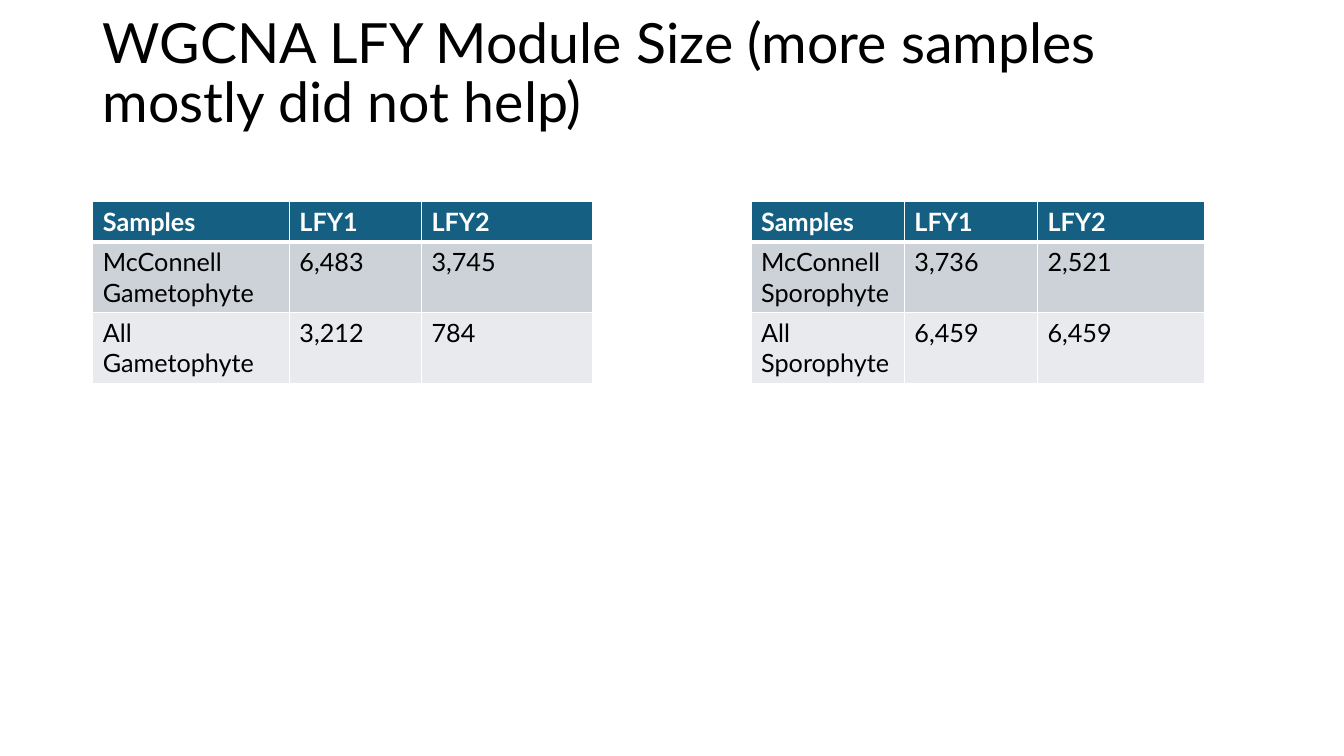
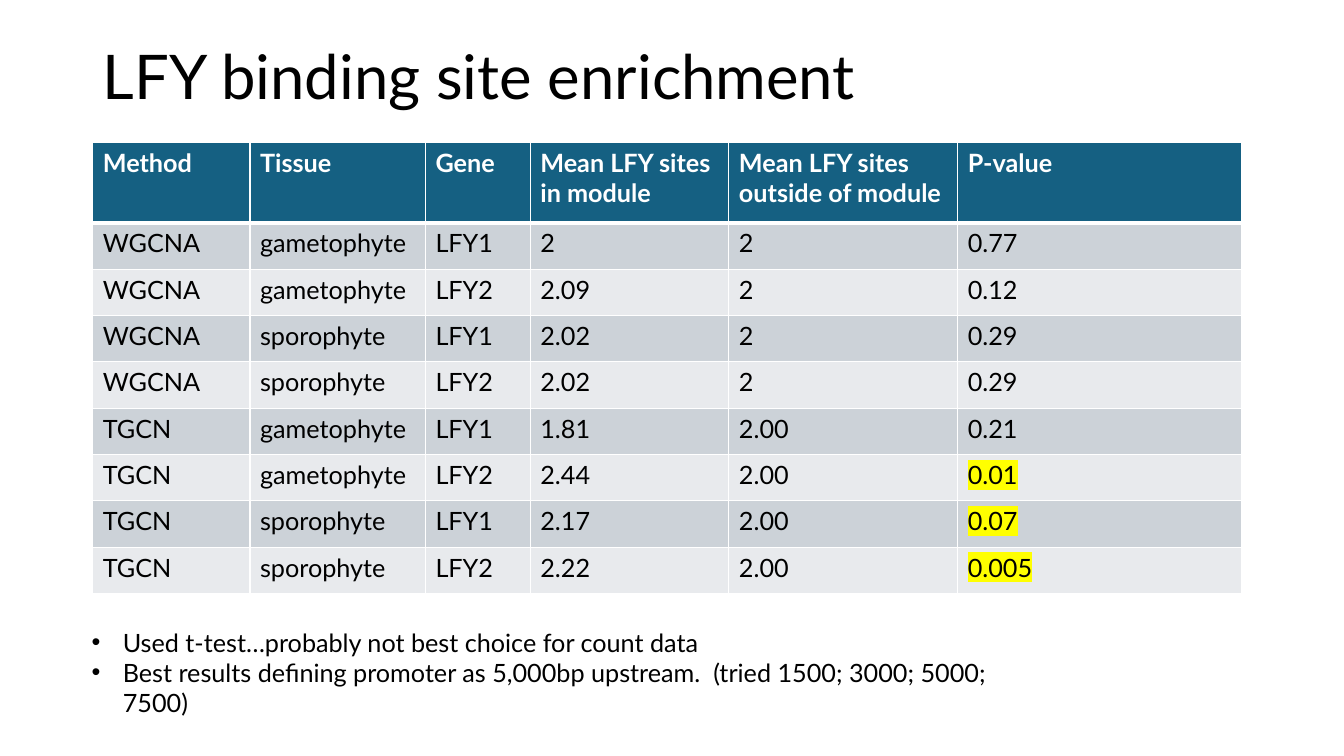
import lxml.etree
import pptx
import pptx.dml.color
import pptx.enum.text
import pptx.oxml
import pptx.oxml.ns
import pptx.util

Inches = pptx.util.Inches
Pt = pptx.util.Pt
qn = pptx.oxml.ns.qn

FONT = "Lato"
BLACK = "000000"
WHITE = "FFFFFF"
HEADER_FILL = "156082"
ROW_FILLS = ("CCD2D8", "E8EAED")
HIGHLIGHT = "FFFF00"
BODY_SIZE = 18
MARGIN_LEFT = 0.92
TITLE_TOP = 0.4
TITLE_WIDTH = 11.5
BULLET_INDENT = 0.31

GAMETOPHYTE_ROWS = [
    ("Samples", "LFY1", "LFY2"),
    ("McConnell Gametophyte", "6,483", "3,745"),
    ("All Gametophyte", "3,212", "784"),
]
SPOROPHYTE_ROWS = [
    ("Samples", "LFY1", "LFY2"),
    ("McConnell Sporophyte", "3,736", "2,521"),
    ("All Sporophyte", "6,459", "6,459"),
]
ENRICHMENT_ROWS = [
    ("Method", "Tissue", "Gene", "Mean LFY sites in module",
     "Mean LFY sites outside of module", "P-value"),
    ("WGCNA", "gametophyte", "LFY1", "2", "2", "0.77"),
    ("WGCNA", "gametophyte", "LFY2", "2.09", "2", "0.12"),
    ("WGCNA", "sporophyte", "LFY1", "2.02", "2", "0.29"),
    ("WGCNA", "sporophyte", "LFY2", "2.02", "2", "0.29"),
    ("TGCN", "gametophyte", "LFY1", "1.81", "2.00", "0.21"),
    ("TGCN", "gametophyte", "LFY2", "2.44", "2.00", "0.01"),
    ("TGCN", "sporophyte", "LFY1", "2.17", "2.00", "0.07"),
    ("TGCN", "sporophyte", "LFY2", "2.22", "2.00", "0.005"),
]
HIGHLIGHTED_P_VALUES = ("0.01", "0.07", "0.005")
NOTES_ON_TEST = [
    "Used t-test…probably not best choice for count data",
    "Best results defining promoter as 5,000bp upstream.  (tried 1500; 3000; 5000; 7500)",
]


def color(value):
    return pptx.dml.color.RGBColor.from_string(value)


def apply_format(target, values):
    for name, value in values.items():
        setattr(target, name, value)


def format_font(font, size, text_color=BLACK, bold=False):
    apply_format(font, {"name": FONT, "size": Pt(size), "bold": bold})
    font.color.rgb = color(text_color)


def place_title(slide, text, height, size):
    title = slide.shapes.title
    apply_format(title, {
        "left": Inches(MARGIN_LEFT), "top": Inches(TITLE_TOP),
        "width": Inches(TITLE_WIDTH), "height": Inches(height),
    })
    apply_format(title.text_frame, {
        "text": text, "word_wrap": True,
        "auto_size": pptx.enum.text.MSO_AUTO_SIZE.NONE,
        "vertical_anchor": pptx.enum.text.MSO_ANCHOR.MIDDLE,
    })
    paragraph = title.text_frame.paragraphs[0]
    apply_format(paragraph, {
        "alignment": pptx.enum.text.PP_ALIGN.LEFT, "line_spacing": 0.9,
    })
    format_font(paragraph.runs[0].font, size)


def set_borders(cell, top_width, bottom_width):
    properties = cell._tc.get_or_add_tcPr()
    widths = {"lnL": 1, "lnR": 1, "lnT": top_width, "lnB": bottom_width}
    for position, (tag, width) in enumerate(widths.items()):
        line = lxml.etree.Element(qn("a:" + tag), w=str(Pt(width)))
        fill = lxml.etree.SubElement(line, qn("a:solidFill"))
        lxml.etree.SubElement(fill, qn("a:srgbClr"), val=WHITE)
        properties.insert(position, line)


def highlight_run(run):
    highlight = lxml.etree.Element(qn("a:highlight"))
    lxml.etree.SubElement(highlight, qn("a:srgbClr"), val=HIGHLIGHT)
    run._r.rPr.find(qn("a:solidFill")).addnext(highlight)


def format_cell(cell, text, row_index):
    is_header = row_index == 0
    cell.text = text
    run = cell.text_frame.paragraphs[0].runs[0]
    format_font(run.font, BODY_SIZE, WHITE if is_header else BLACK, is_header)
    cell.fill.solid()
    cell.fill.fore_color.rgb = color(
        HEADER_FILL if is_header else ROW_FILLS[(row_index - 1) % 2])
    set_borders(cell, 3 if row_index == 1 else 1, 3 if is_header else 1)
    if text in HIGHLIGHTED_P_VALUES:
        highlight_run(run)


def place_table(slide, left, top, column_widths, header_height, row_height, rows):
    heights = [header_height] + [row_height] * (len(rows) - 1)
    table = slide.shapes.add_table(
        len(rows), len(column_widths), Inches(left), Inches(top),
        Inches(sum(column_widths)), Inches(sum(heights))).table
    for column, width in zip(table.columns, column_widths):
        column.width = Inches(width)
    for row_index, (row, height, texts) in enumerate(zip(table.rows, heights, rows)):
        row.height = Inches(height)
        for cell, text in zip(row.cells, texts):
            format_cell(cell, text, row_index)


def add_bullet(paragraph):
    properties = paragraph._p.get_or_add_pPr()
    properties.set("marL", str(Inches(BULLET_INDENT)))
    properties.set("indent", str(-Inches(BULLET_INDENT)))
    lxml.etree.SubElement(properties, qn("a:buFont"), typeface="Arial")
    lxml.etree.SubElement(properties, qn("a:buChar"), char="•")


def place_bullets(slide, left, top, width, height, texts):
    box = slide.shapes.add_textbox(
        Inches(left), Inches(top), Inches(width), Inches(height))
    frame = box.text_frame
    apply_format(frame, {"word_wrap": True, "text": "\n".join(texts)})
    for paragraph in frame.paragraphs:
        add_bullet(paragraph)
        format_font(paragraph.runs[0].font, BODY_SIZE)


def build_module_size_slide(slide):
    place_title(slide, "WGCNA LFY Module Size (more samples mostly did not help)",
                0.69, 39.6)
    for left, column_widths, rows in (
            (MARGIN_LEFT, (1.95, 1.31, 1.7), GAMETOPHYTE_ROWS),
            (7.45, (1.52, 1.32, 1.66), SPOROPHYTE_ROWS)):
        place_table(slide, left, 2, column_widths, 0.4, 0.7, rows)


def build_enrichment_slide(slide):
    place_title(slide, "LFY binding site enrichment", 0.78, 44)
    place_table(slide, MARGIN_LEFT, 1.41, (1.56, 1.74, 1.04, 1.97, 2.27, 2.82),
                0.8, 0.46, ENRICHMENT_ROWS)
    place_bullets(slide, 0.81, 6.17, 9.52, 1, NOTES_ON_TEST)


def main():
    presentation = pptx.Presentation()
    apply_format(presentation, {
        "slide_width": Inches(13.33), "slide_height": Inches(7.5),
    })
    title_only = presentation.slide_layouts[5]
    for build_slide in (build_module_size_slide, build_enrichment_slide):
        build_slide(presentation.slides.add_slide(title_only))
    presentation.save("out.pptx")


if __name__ == "__main__":
    main()
